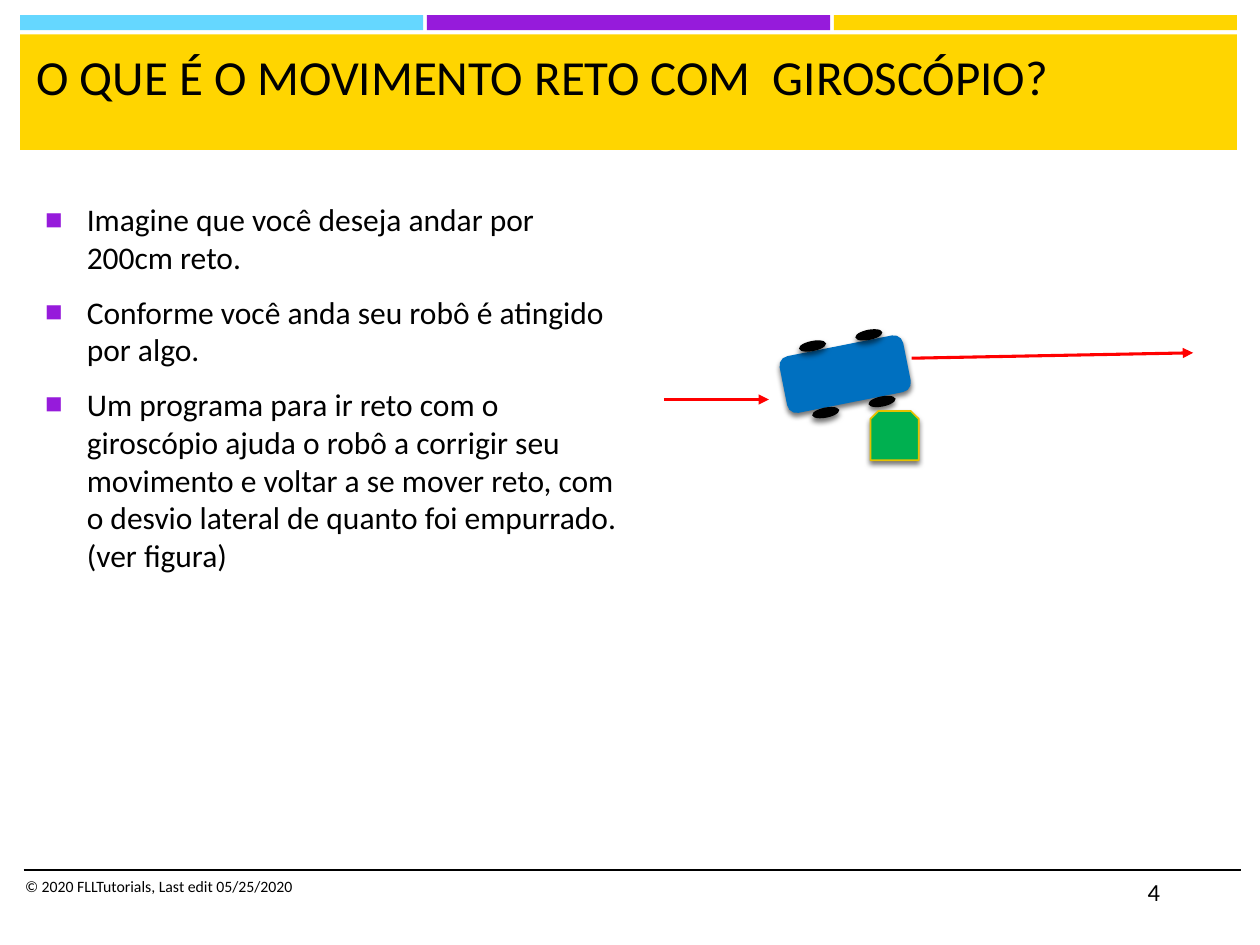
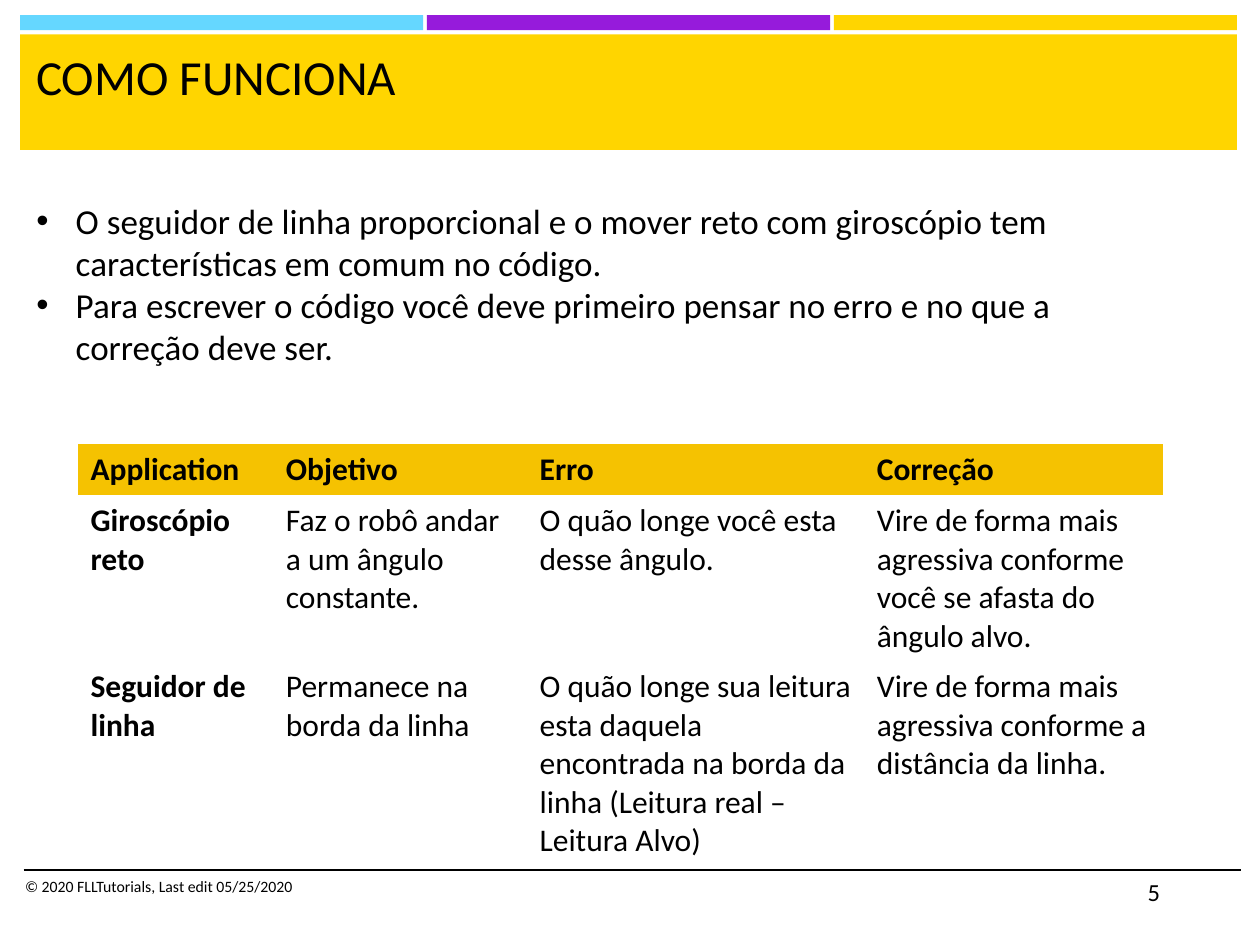
from dataclasses import dataclass
from math import cos, radians, sin

from lxml.etree import SubElement
from pptx import Presentation
from pptx.dml.color import RGBColor
from pptx.enum.shapes import MSO_CONNECTOR, MSO_SHAPE
from pptx.enum.text import MSO_ANCHOR
from pptx.oxml.ns import qn
from pptx.util import Pt

HUES = {
    "black": "000000", "sky": "65D7FF", "purple": "961BDB", "gold": "FFD500",
    "head": "F5C201", "blue": "0070C0", "green": "00B050", "edge": "E6C000",
    "red": "FF0000",
}
FONT = "Calibri"
NO_GRID = "{2D5ABB26-0587-4C30-8999-92F81FD0307C}"
TILT = -11.2


@dataclass
class Box:
    left: float
    top: float
    width: float
    height: float

    def spans(self) -> tuple:
        return Pt(self.left), Pt(self.top), Pt(self.width), Pt(self.height)


@dataclass
class Form:
    kind: MSO_SHAPE
    box: Box
    fill: str
    edge: str = ""
    turn: float = 0
    shade: bool = False


@dataclass
class Line:
    start: tuple
    end: tuple
    hue: str
    width: float
    arrow: bool = False


@dataclass
class Bullet:
    mark: str
    indent: float
    hue: str = "black"
    size: int = 100
    before: float = 0
    after: float = 0


@dataclass
class Text:
    box: Box
    lines: list
    size: float
    bullet: Bullet | None = None


def color(name: str) -> RGBColor:
    return RGBColor.from_string(HUES[name])


def style(para, size: float, bold: bool = False) -> None:
    for run in para.runs:
        font = run.font
        font.name, font.size, font.bold = FONT, Pt(size), bold
        font.color.rgb = color("black")


def add_mark(para, bullet: Bullet) -> None:
    props = para._p.get_or_add_pPr()
    props.set("marL", str(Pt(bullet.indent)))
    props.set("indent", str(-Pt(bullet.indent)))
    tint = SubElement(props, qn("a:buClr"))
    SubElement(tint, qn("a:srgbClr"), val=HUES[bullet.hue])
    SubElement(props, qn("a:buSzPct"), val=str(bullet.size * 1000))
    SubElement(props, qn("a:buFont"), typeface="Arial")
    SubElement(props, qn("a:buChar"), char=bullet.mark)


def draw_text(slide, text: Text) -> None:
    frame = slide.shapes.add_textbox(*text.box.spans()).text_frame
    frame.word_wrap = True
    frame.vertical_anchor = MSO_ANCHOR.TOP
    frame.text = "\n".join(text.lines)
    for num, para in enumerate(frame.paragraphs):
        if text.bullet:
            add_mark(para, text.bullet)
            para.space_before = Pt(text.bullet.before if num else 0)
            para.space_after = Pt(text.bullet.after)
        style(para, text.size)


def draw_form(shapes, form: Form) -> None:
    shape = shapes.add_shape(form.kind, *form.box.spans())
    shape.rotation = form.turn
    shape.fill.solid()
    shape.fill.fore_color.rgb = color(form.fill)
    if form.edge:
        shape.line.color.rgb = color(form.edge)
        shape.line.width = Pt(1)
    else:
        shape.line.fill.background()
    shape.shadow.inherit = False
    if form.shade:
        effects = shape._element.spPr.find(qn("a:effectLst"))
        shade = SubElement(effects, qn("a:outerShdw"), blurRad=str(Pt(3)),
                           dist=str(Pt(2)), dir="5400000", rotWithShape="0")
        tint = SubElement(shade, qn("a:srgbClr"), val=HUES["black"])
        SubElement(tint, qn("a:alpha"), val="55000")


def draw_line(slide, line: Line) -> None:
    ends = [Pt(num) for num in (*line.start, *line.end)]
    link = slide.shapes.add_connector(MSO_CONNECTOR.STRAIGHT, *ends)
    link.line.color.rgb = color(line.hue)
    link.line.width = Pt(line.width)
    if line.arrow:
        SubElement(link.line._get_or_add_ln(), qn("a:tailEnd"), type="triangle")
    SubElement(link._element.spPr, qn("a:effectLst"))


def draw_robot(slide, mid_x: float, mid_y: float) -> None:
    group = slide.shapes.add_group_shape().shapes

    def part(kind: MSO_SHAPE, along: float, across: float,
             width: float, height: float, fill: str) -> None:
        turn = radians(TILT)
        left = mid_x + along * cos(turn) - across * sin(turn) - width / 2
        top = mid_y + along * sin(turn) + across * cos(turn) - height / 2
        box = Box(left, top, width, height)
        draw_form(group, Form(kind, box, fill, turn=TILT, shade=True))

    part(MSO_SHAPE.ROUNDED_RECTANGLE, 0, 0, 72, 33, "blue")
    for across in (-19.4, 19.4):
        for along in (-15.2, 17.6):
            part(MSO_SHAPE.OVAL, along, across, 15.8, 5.8, "black")


def draw_table(slide, box: Box, cols: list, tall: list, rows: list) -> None:
    table = slide.shapes.add_table(len(rows), len(cols), *box.spans()).table
    table._tbl.tblPr.find(qn("a:tableStyleId")).text = NO_GRID
    for col, width in zip(table.columns, cols):
        col.width = Pt(width)
    for y, (row, height) in enumerate(zip(rows, tall)):
        table.rows[y].height = Pt(height)
        for x, words in enumerate(row):
            cell = table.cell(y, x)
            cell.text_frame.text = words
            style(cell.text_frame.paragraphs[0], 18, y == 0 or x == 0)
            if y == 0:
                cell.fill.solid()
                cell.fill.fore_color.rgb = color("head")
            else:
                cell.fill.background()


def add_slide(deck, title: str, page: int):
    slide = deck.slides.add_slide(deck.slide_layouts[6])
    # Bands and title
    bands = [Form(MSO_SHAPE.RECTANGLE, Box(11.5 + 232.5 * num, 8.7, 230.4, 8.6), hue)
             for num, hue in enumerate(("sky", "purple", "gold"))]
    bands.append(Form(MSO_SHAPE.RECTANGLE, Box(11.5, 19.7, 695.3, 66), "gold"))
    for band in bands:
        draw_form(slide.shapes, band)
    draw_text(slide, Text(Box(13.7, 23, 689, 59), [title], 28))
    # Footer
    draw_line(slide, Line((13.5, 497.3), (709.3, 497.3), "black", 1))
    draw_text(slide, Text(Box(7.2, 497.5, 384, 28.8),
                          ["© 2020 FLLTutorials, Last edit 05/25/2020"], 9))
    draw_text(slide, Text(Box(648.7, 497.5, 60.5, 28.8), [str(page)], 14))
    return slide


def build_move(deck) -> None:
    slide = add_slide(deck, "O QUE É O MOVIMENTO RETO COM  GIROSCÓPIO?", 4)
    draw_text(slide, Text(Box(18.7, 110.9, 344.2, 339), [
        "Imagine que você deseja andar por 200cm reto.",
        "Conforme você anda seu robô é atingido por algo.",
        "Um programa para ir reto com o giroscópio ajuda o robô a corrigir seu "
        "movimento e voltar a se mover reto, com o desvio lateral de quanto foi "
        "empurrado. (ver figura)",
    ], 18, Bullet("■", 23.8, "purple", 92, 3.6, 6)))
    # Robot pushed off course by a block
    draw_robot(slide, 483, 213.8)
    draw_line(slide, Line((521, 204.7), (681.8, 201.6), "red", 1.75, True))
    draw_form(slide.shapes, Form(MSO_SHAPE.SNIP_2_SAME_RECTANGLE,
                                 Box(497.4, 234.8, 27.6, 28.2),
                                 "green", "edge", shade=True))
    draw_line(slide, Line((379.4, 228.3), (439.4, 228.3), "red", 1.75, True))


def build_how(deck) -> None:
    slide = add_slide(deck, "COMO FUNCIONA", 5)
    # Comparison of the two uses
    draw_table(slide, Box(44.6, 253.6, 619.9, 238.5),
               [111.6, 145, 192.7, 170.6], [29.5, 95, 114], [
        ["Application", "Objetivo", "Erro", "Correção"],
        ["Giroscópio reto", "Faz o robô andar a um ângulo constante.",
         "O quão longe você esta desse ângulo.",
         "Vire de forma mais agressiva conforme você se afasta do ângulo alvo."],
        ["Seguidor de linha", "Permanece na borda da linha",
         "O quão longe sua leitura esta daquela encontrada na borda da linha "
         "(Leitura real – Leitura Alvo)",
         "Vire de forma mais agressiva conforme a distância da linha."],
    ])
    draw_text(slide, Text(Box(13.7, 110.2, 625.7, 104.4), [
        "O seguidor de linha proporcional e o mover reto com giroscópio tem "
        "características em comum no código.",
        "Para escrever o código você deve primeiro pensar no erro e no que a "
        "correção deve ser.",
    ], 20, Bullet("•", 22.5)))


def main() -> None:
    deck = Presentation()
    deck.slide_width, deck.slide_height = Pt(720), Pt(540)
    build_move(deck)
    build_how(deck)
    deck.save("out.pptx")


if __name__ == "__main__":
    main()
